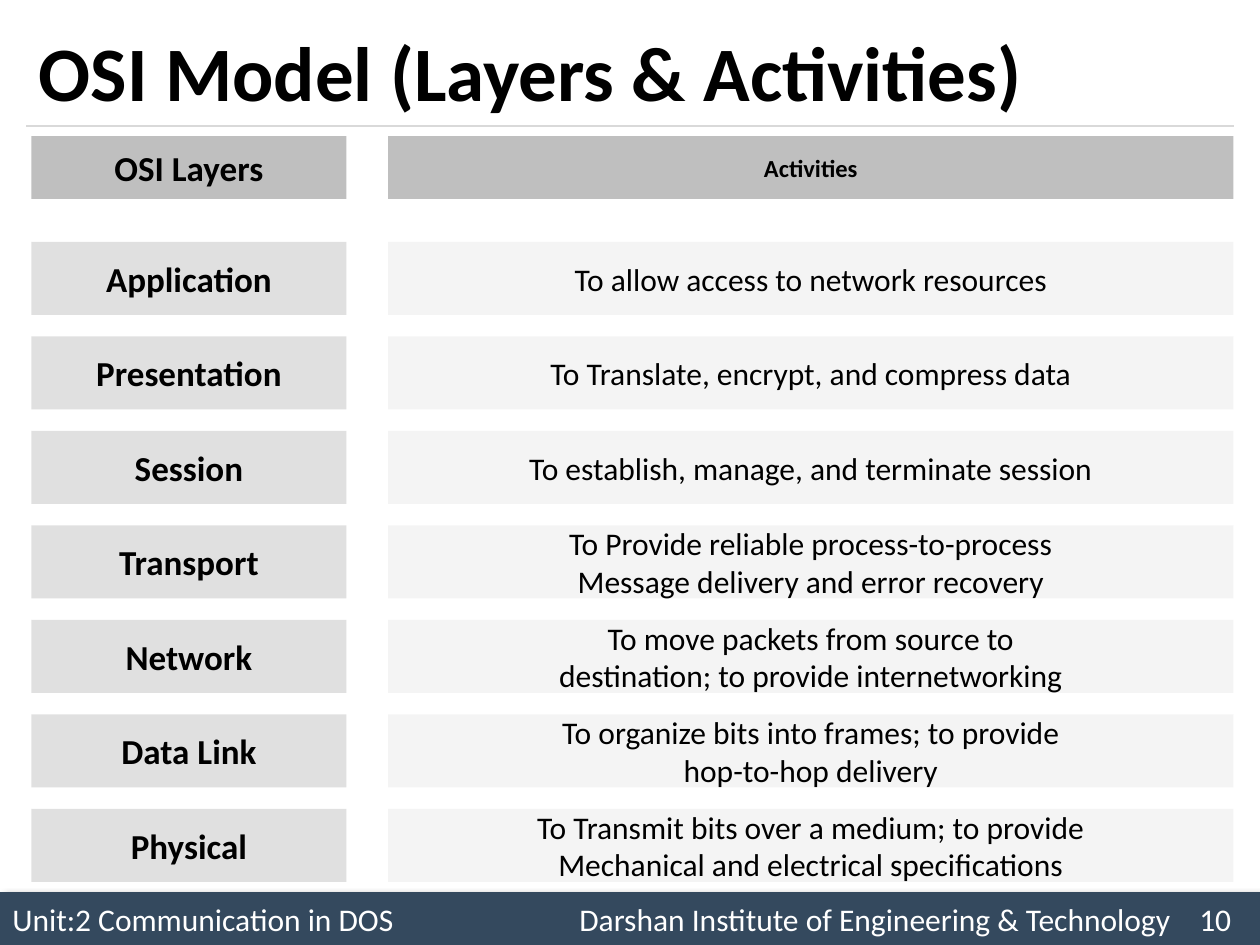
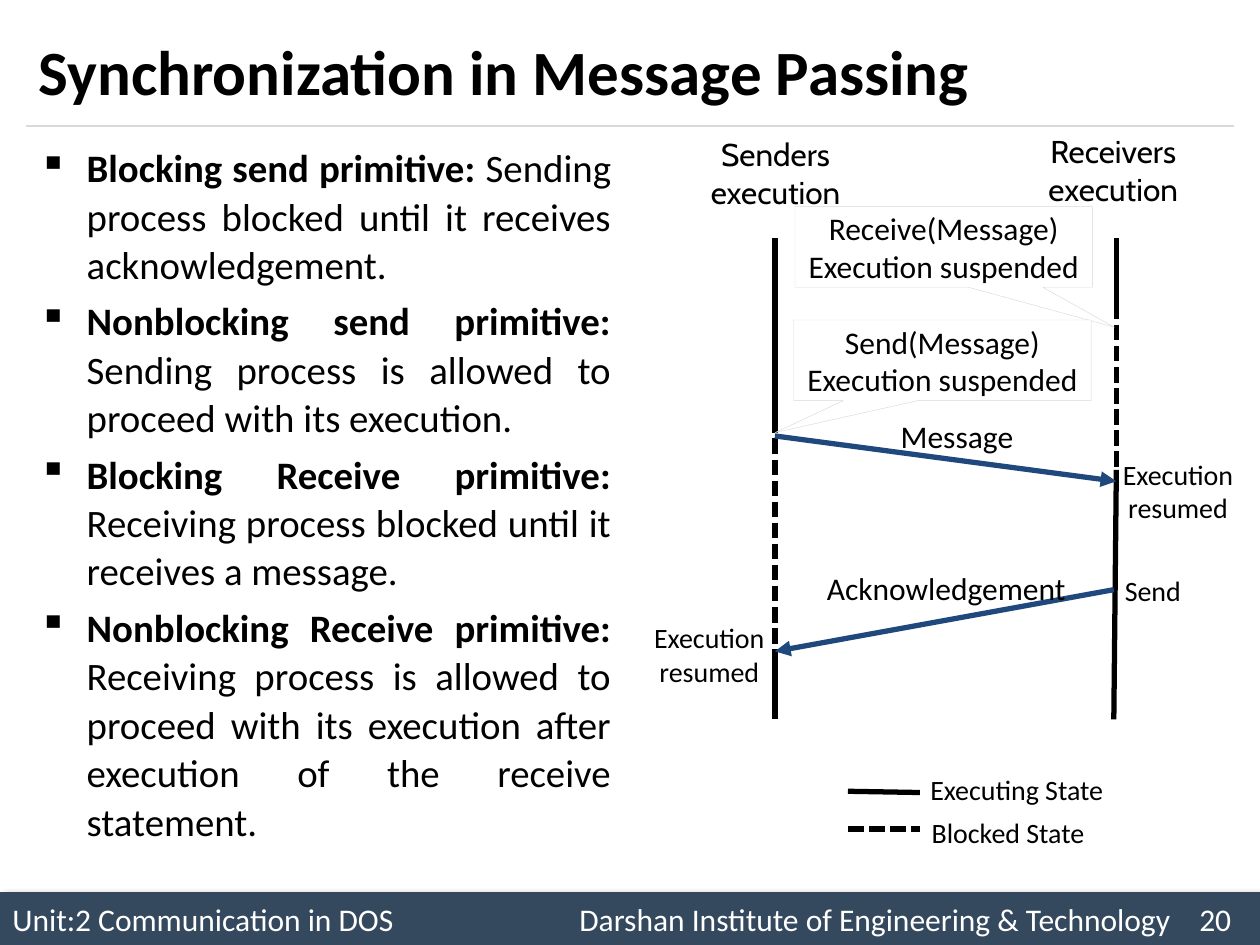
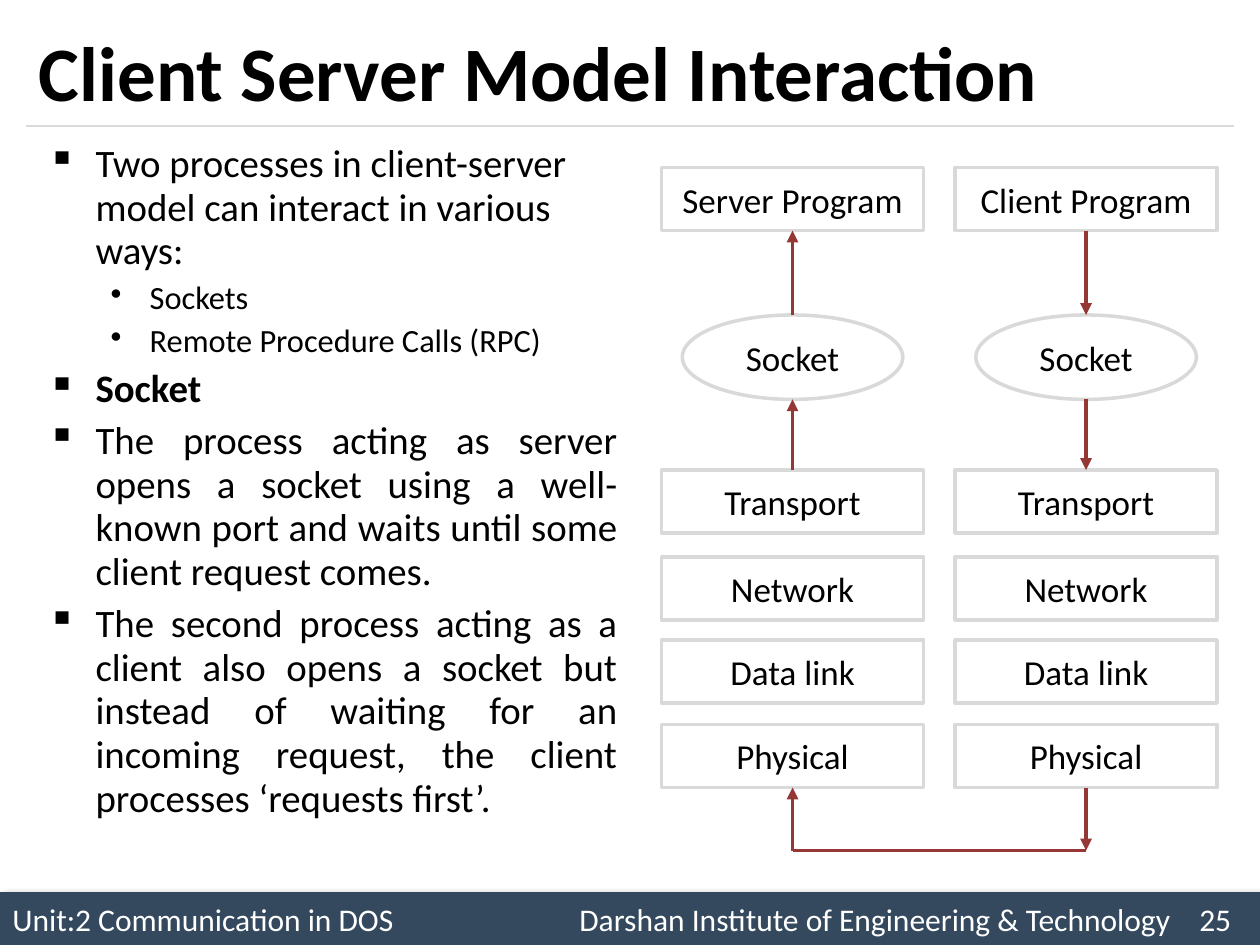
from lxml.etree import SubElement
from pptx import Presentation
from pptx.dml.color import RGBColor
from pptx.enum.dml import MSO_LINE
from pptx.enum.shapes import MSO_CONNECTOR, MSO_SHAPE
from pptx.enum.text import MSO_ANCHOR, PP_ALIGN
from pptx.oxml.ns import qn
from pptx.util import Inches, Pt

BLACK = RGBColor(0x00, 0x00, 0x00)
WHITE = RGBColor(0xFF, 0xFF, 0xFF)
BAND = RGBColor(0x34, 0x49, 0x5E)
HEADER = RGBColor(0xBF, 0xBF, 0xBF)
GREY = RGBColor(0xD9, 0xD9, 0xD9)
PALE = RGBColor(0xF2, 0xF2, 0xF2)
BLUE = RGBColor(0x1F, 0x49, 0x7D)
RED = RGBColor(0x95, 0x37, 0x35)

CENTER, JUSTIFY, LEFT = PP_ALIGN.CENTER, PP_ALIGN.JUSTIFY, PP_ALIGN.LEFT
RECT, OVAL = MSO_SHAPE.RECTANGLE, MSO_SHAPE.OVAL

# ---------- Content ----------
UNIT = "Unit:2 Communication in DOS"
INSTITUTE = "Darshan Institute of Engineering & Technology"

OSI_LAYERS = [
    ("Application", ["To allow access to network resources"]),
    ("Presentation", ["To Translate, encrypt, and compress data"]),
    ("Session", ["To establish, manage, and terminate session"]),
    ("Transport", ["To Provide reliable process-to-process",
                   "Message delivery and error recovery"]),
    ("Network", ["To move packets from source to",
                 "destination; to provide internetworking"]),
    ("Data Link", ["To organize bits into frames; to provide",
                   "hop-to-hop delivery"]),
    ("Physical", ["To Transmit bits over a medium; to provide",
                  "Mechanical and electrical specifications"]),
]

# Bullets: level, alignment, bold part, plain part
PRIMITIVES = [
    (0, JUSTIFY, "Blocking send primitive: ",
     "Sending process blocked until it receives acknowledgement."),
    (0, JUSTIFY, "Nonblocking send primitive: ",
     "Sending process is allowed to proceed with its execution."),
    (0, JUSTIFY, "Blocking Receive primitive: ",
     "Receiving process blocked until it receives a message."),
    (0, JUSTIFY, "Nonblocking Receive primitive: ",
     "Receiving process is allowed to proceed with its execution after "
     "execution of the receive statement."),
]
INTERACTION = [
    (0, LEFT, "", "Two processes in client-server model can interact in various ways:"),
    (1, LEFT, "", "Sockets"),
    (1, LEFT, "", "Remote Procedure Calls (RPC)"),
    (0, LEFT, "Socket", ""),
    (0, JUSTIFY, "", "The process acting as server opens a socket using a well-known "
                     "port and waits until some client request comes."),
    (0, JUSTIFY, "", "The second process acting as a client also opens a socket but "
                     "instead of waiting for an incoming request, the client "
                     "processes ‘requests first’."),
]
# Bullet style by level: character, text size, left indent, hanging
BULLETS = [("▪", 22.2, 0.38, 0.38), ("•", 18.5, 0.81, 0.31)]

# Timeline parts: start, end, blocked
SENDER_X, RECEIVER_X = 6.15, 8.86
STATES = [
    ((SENDER_X, 1.89), (SENDER_X, 3.44), False),
    ((SENDER_X, 3.48), (SENDER_X, 5.19), True),
    ((SENDER_X, 5.19), (SENDER_X, 5.71), False),
    ((RECEIVER_X, 1.89), (RECEIVER_X, 2.41), False),
    ((RECEIVER_X, 2.41), (RECEIVER_X, 3.73), True),
    ((RECEIVER_X, 3.73), (8.84, 5.71), False),
    ((6.73, 6.28), (7.3, 6.29), False),
    ((6.73, 6.58), (7.3, 6.58), True),
]
MESSAGES = [((SENDER_X, 3.46), (RECEIVER_X, 3.82)),
            ((8.84, 4.68), (SENDER_X, 5.17))]
# Labels: text, box, size, font
LABELS = [
    ("Senders execution", (5.45, 1.02, 1.41, 0.71), 18, "Cabin"),
    ("Receivers execution", (8.13, 1, 1.41, 0.71), 18, "Cabin"),
    ("Message", (6.73, 3.26, 1.73, 0.4), 18, "Calibri"),
    ("Acknowledgement", (6.31, 4.47, 2.4, 0.4), 18, "Calibri"),
    ("Execution resumed", (8.7, 3.58, 1.3, 0.64), 16, "Calibri"),
    ("Execution resumed", (4.98, 4.88, 1.3, 0.64), 16, "Calibri"),
    ("Send", (8.5, 4.5, 1.3, 0.37), 16, "Calibri"),
    ("Executing State", (7, 6.08, 2.14, 0.37), 16, "Calibri"),
    ("Blocked State", (6.93, 6.42, 2.14, 0.37), 16, "Calibri"),
]
# Callouts: text, box, pointer offset
CALLOUTS = [
    ("Receive(Message) Execution suspended", (6.31, 1.64, 2.36, 0.64), (0.574, 0.995)),
    ("Send(Message) Execution suspended", (6.3, 2.54, 2.36, 0.64), (-0.563, 0.896)),
]

# Stacks: program, centre, whether data travels down
STACKS = [("Server Program", 6.29, False), ("Client Program", 8.62, True)]
STACK_LAYERS = [("Transport", 3.73), ("Network", 4.42),
                ("Data link", 5.08), ("Physical", 5.75)]


# ---------- Helpers ----------
def inches(box):
    return [Inches(v) for v in box]


def add_run(p, text, size, bold=False, color=BLACK, font="Calibri"):
    r = p.add_run()
    r.text = text
    r.font.size, r.font.bold, r.font.name = Pt(size), bold, font
    r.font.color.rgb = color


def add_lines(tf, lines, size, bold=False, font="Calibri", align=CENTER):
    tf.word_wrap = True
    for i, line in enumerate(lines):
        p = tf.paragraphs[0] if i == 0 else tf.add_paragraph()
        p.alignment = align
        add_run(p, line, size, bold, font=font)


def add_box(s, kind, box, fill, line=None, width=2, alpha=None):
    sp = s.shapes.add_shape(kind, *inches(box))
    sp.shadow.inherit = False
    sp.fill.solid()
    sp.fill.fore_color.rgb = fill
    if line is None:
        sp.line.fill.background()
    else:
        sp.line.color.rgb, sp.line.width = line, Pt(width)
    if alpha:
        color = sp.fill._xPr.find(qn("a:solidFill"))[0]
        SubElement(color, qn("a:alpha"), val=str(alpha * 1000))
    sp.text_frame.vertical_anchor = MSO_ANCHOR.MIDDLE
    return sp


def add_text(s, box):
    tf = s.shapes.add_textbox(*inches(box)).text_frame
    tf.word_wrap = True
    return tf


def add_line(s, start, end, color, width, arrow=False, dashed=False):
    c = s.shapes.add_connector(MSO_CONNECTOR.STRAIGHT, *inches(start + end))
    c.line.color.rgb, c.line.width = color, Pt(width)
    if dashed:
        c.line.dash_style = MSO_LINE.SQUARE_DOT
    if arrow:
        SubElement(c.line._get_or_add_ln(), qn("a:tailEnd"), type="triangle")
    SubElement(c._element.spPr, qn("a:effectLst"))
    return c


def add_bullets(s, box, items, spacing):
    tf = add_text(s, box)
    for i, (level, align, bold, plain) in enumerate(items):
        char, size, indent, hanging = BULLETS[level]
        p = tf.paragraphs[0] if i == 0 else tf.add_paragraph()
        pPr = p._p.get_or_add_pPr()
        pPr.set("marL", str(Inches(indent)))
        pPr.set("indent", str(-Inches(hanging)))
        SubElement(pPr, qn("a:buChar"), char=char)
        p.level, p.alignment, p.line_spacing = level, align, spacing
        if i:
            p.space_before = Pt(round(size * 0.2, 1))
        if bold:
            add_run(p, bold, size, True)
        if plain:
            add_run(p, plain, size)


def add_slide(prs, title, size, number):
    s = prs.slides.add_slide(prs.slide_layouts[6])

    # Footer band with its shadow and two tab stops
    band = add_box(s, RECT, (0, 7.08, 10, 0.42), BAND)
    effects = band._element.spPr.find(qn("a:effectLst"))
    shadow = SubElement(effects, qn("a:outerShdw"), blurRad=str(Pt(4)),
                        dist=str(Pt(3)), dir="2700000", algn="tl", rotWithShape="0")
    color = SubElement(shadow, qn("a:prstClr"), val="black")
    SubElement(color, qn("a:alpha"), val="40000")
    p = band.text_frame.paragraphs[0]
    tabs = SubElement(p._p.get_or_add_pPr(), qn("a:tabLst"))
    for pos in (4.5, 9.42):
        SubElement(tabs, qn("a:tab"), pos=str(Inches(pos)), algn="l")
    p.alignment = LEFT
    add_run(p, f"{UNIT}\t{INSTITUTE}\t{number}", 18, color=WHITE)

    # Title and rule
    add_line(s, (0.21, 1), (9.79, 1), GREY, 0.75)
    tf = add_text(s, (0.21, 0.12, 9.58, 0.88))
    tf.vertical_anchor = MSO_ANCHOR.MIDDLE
    add_lines(tf, [title], size, True, align=LEFT)
    return s


# ---------- Slides ----------
def osi_slide(prs):
    s = add_slide(prs, "OSI Model (Layers & Activities)", 44, 10)

    def cell(x, y, w, h, fill, lines, size, bold, alpha=None):
        tf = add_box(s, RECT, (x, y, w, h), fill, alpha=alpha).text_frame
        tf.margin_left = tf.margin_right = tf.margin_top = tf.margin_bottom = 0
        add_lines(tf, lines, size, bold)

    layer_x, layer_w, activity_x, activity_w = 0.25, 2.5, 3.08, 6.71
    cell(layer_x, 1.08, layer_w, 0.5, HEADER, ["OSI Layers"], 20, True)
    cell(activity_x, 1.08, activity_w, 0.5, HEADER, ["Activities"], 14, True)
    for i, (layer, activity) in enumerate(OSI_LAYERS):
        y = 1.92 + 0.75 * i
        cell(layer_x, y, layer_w, 0.58, GREY, [layer], 20, True, 80)
        cell(activity_x, y, activity_w, 0.58, PALE, activity, 18, False, 80)


def synchronization_slide(prs):
    s = add_slide(prs, "Synchronization in Message Passing", 36, 20)
    add_bullets(s, (0.21, 1.08, 4.74, 5.83), PRIMITIVES, 1.04)
    for start, end, blocked in STATES:
        add_line(s, start, end, BLACK, 3, dashed=blocked)
    for start, end in MESSAGES:
        add_line(s, start, end, BLUE, 3, arrow=True)
    for text, box, size, font in LABELS:
        add_lines(add_text(s, box), [text], size, font=font)
    for text, box, pointer in CALLOUTS:
        sp = add_box(s, MSO_SHAPE.RECTANGULAR_CALLOUT, box, WHITE, GREY, 0.25)
        sp.adjustments[0], sp.adjustments[1] = pointer
        add_lines(sp.text_frame, [text], 18)


def client_server_slide(prs):
    s = add_slide(prs, "Client Server Model Interaction", 44, 25)
    add_bullets(s, (0.28, 1.08, 4.72, 5.83), INTERACTION, 0.94)

    def node(kind, text, center, y, w, h):
        sp = add_box(s, kind, (center - w / 2, y, w, h), WHITE, GREY)
        add_lines(sp.text_frame, [text], 20)
        return sp

    bottom = 6.75
    for program, x, down in STACKS:
        top = node(RECT, program, x, 1.33, 2.08, 0.5)
        socket = node(OVAL, "Socket", x, 2.5, 1.75, 0.67)
        layers = [node(RECT, name, x, y, 2.08, 0.5) for name, y in STACK_LAYERS]

        # Each arrow: upper end, lower end, each with the joined shape and side
        for y1, upper, y2, lower in [
            (1.83, (top, 2), 2.5, (socket, 0)),
            (3.17, None, 3.73, (layers[0], 0)),
            (6.25, (layers[-1], 2), bottom, None),
        ]:
            ends = [((x, y1), upper), ((x, y2), lower)]
            (start, begin), (end, finish) = ends if down else ends[::-1]
            c = add_line(s, start, end, RED, 2.25, arrow=True)
            if begin:
                c.begin_connect(*begin)
            if finish:
                c.end_connect(*finish)
    add_line(s, (STACKS[0][1], bottom), (STACKS[1][1], bottom), RED, 2.25)


def main():
    prs = Presentation()
    prs.slide_width, prs.slide_height = Inches(10), Inches(7.5)
    osi_slide(prs)
    synchronization_slide(prs)
    client_server_slide(prs)
    prs.save("out.pptx")


if __name__ == "__main__":
    main()
